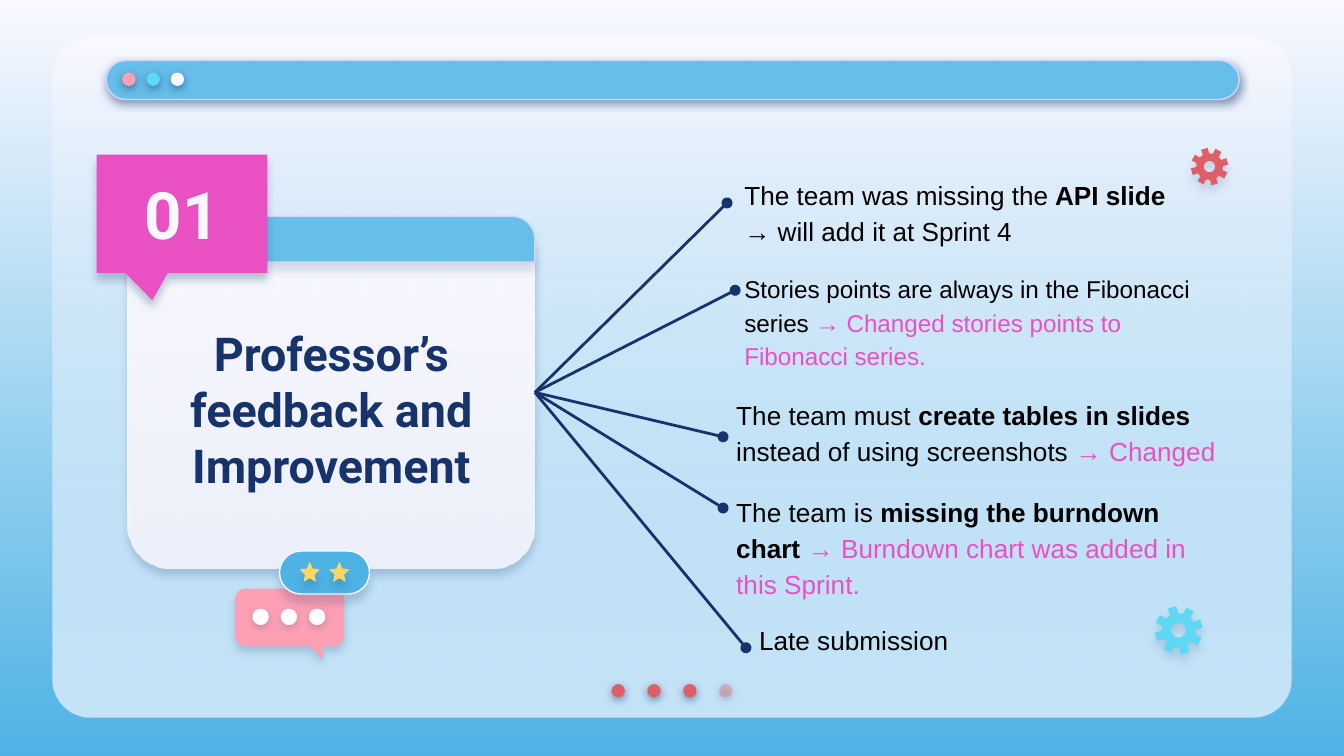
import math
from dataclasses import dataclass

from lxml import etree
from pptx import Presentation
from pptx import util as u
from pptx.dml.color import RGBColor
from pptx.enum import shapes, text
from pptx.oxml import ns

Inches, Pt = u.Inches, u.Pt
Kind = shapes.MSO_SHAPE


@dataclass(frozen=True)
class Theme:
    navy: str = "17336B"
    sky: str = "66BEE9"
    deep_sky: str = "4EB3E4"
    pale: str = "F9F8FF"
    lilac: str = "D2D6FF"
    pink: str = "FDA0B4"
    magenta: str = "E951C2"
    red: str = "DF5F69"
    faded_red: str = "E27B83"
    cyan: str = "60D8F4"
    yellow: str = "FFD65F"
    white: str = "FFFFFF"
    black: str = "000000"
    heading_font: str = "Roboto"
    body_font: str = "Arial"
    number_size: int = 35
    title_size: int = 25
    body_size: int = 14
    small_size: int = 13


THEME = Theme()

# Shadows: opacity %, blur pt, distance pt
CRISP = (50, 4.5, 1.5)
FAINT = (15, 4.5, 3.8)
SOFT = (22, 4.5, 3.8)
BADGE = (19, 4.5, 4.5)


def rgb(color):
    return RGBColor.from_string(color)


def add_alpha(color_element, percent):
    etree.SubElement(color_element, ns.qn("a:alpha"), val=str(percent * 1000))


def fill_gradient(fill, top, bottom):
    """Fill downwards between two (colour, opacity) pairs."""
    fill.gradient()
    fill.gradient_angle = 270
    for stop, (color, alpha) in zip(fill.gradient_stops, (top, bottom)):
        stop.color.rgb = rgb(color)
        if alpha < 100:
            add_alpha(stop._gs.find(ns.qn("a:srgbClr")), alpha)


def style(shape, fill, line=None, shadow=None, alpha=100):
    if isinstance(fill, tuple):
        fill_gradient(shape.fill, *fill)
    else:
        shape.fill.solid()
        shape.fill.fore_color.rgb = rgb(fill)
        if alpha < 100:
            add_alpha(shape._element.spPr.find(ns.qn("a:solidFill"))[0], alpha)
    if line:
        shape.line.color.rgb = rgb(line)
        shape.line.width = Pt(0.75)
    else:
        shape.line.fill.background()
    shape.shadow.inherit = False
    if shadow:
        opacity, blur, distance = shadow
        effects = shape._element.spPr.find(ns.qn("a:effectLst"))
        outer = etree.SubElement(
            effects, ns.qn("a:outerShdw"), blurRad=str(Pt(blur)),
            dist=str(Pt(distance)), dir="5400000", algn="bl", rotWithShape="0")
        add_alpha(etree.SubElement(outer, ns.qn("a:srgbClr"), val=THEME.navy), opacity)


def add_preset(slide, kind, box, fill, adjustments=(), **look):
    shape = slide.shapes.add_shape(kind, *map(Inches, box))
    for index, value in enumerate(adjustments):
        shape.adjustments[index] = value
    style(shape, fill, **look)
    return shape


def add_dots(slide, left, top, pitch, colors):
    for index, color in enumerate(colors):
        add_preset(slide, Kind.OVAL, (left + index * pitch, top, 0.1, 0.1), color,
                   shadow=CRISP, alpha=44 if color == THEME.faded_red else 100)


def arc(x, y, radius, start, end, steps):
    angles = (math.radians(start + (end - start) * i / steps) for i in range(steps + 1))
    return [(x + radius * math.cos(a), y + radius * math.sin(a)) for a in angles]


def add_outline(slide, contours, fill, shadow):
    contours = [[(Inches(x), Inches(y)) for x, y in contour] for contour in contours]
    builder = slide.shapes.build_freeform(*contours[0][0], scale=1.0)
    for index, contour in enumerate(contours):
        if index:
            builder.move_to(*contour[0])
        builder.add_line_segments(contour[1:], close=True)
    style(builder.convert_to_shape(), fill, shadow=shadow)


def add_gear(slide, x, y, radius, color):
    root, hole = 0.71 * radius, 0.3 * radius
    rim = []
    for tooth in range(8):
        middle = -106 + 45 * tooth
        for offset, reach in ((-14, root), (-10.5, radius), (10.5, radius), (14, root)):
            rim += arc(x, y, reach, middle + offset, middle + offset, 1)[:1]
    add_outline(slide, [rim, arc(x, y, hole, 360, 0, 32)], color, FAINT)


def add_chat_bubble(slide):
    left, top, right, bottom, r = 1.75, 4.38, 2.56, 4.81, 0.08
    body = (arc(left + r, top + r, r, 180, 270, 8)
            + arc(right - r, top + r, r, 270, 360, 8)
            + arc(right - r, bottom - r, r, 0, 90, 8)
            + [(2.4, bottom), (2.4, 4.91), (2.31, bottom)]
            + arc(left + r, bottom - r, r, 90, 180, 8))
    add_outline(slide, [body], THEME.pink, (18, 4.5, 3))
    typing_dots = [arc(1.94 + 0.21 * i, 4.59, 0.06, 0, 360, 32) for i in range(3)]
    add_outline(slide, typing_dots, THEME.white, (18, 4.5, 1.5))


def write(frame, paragraphs, size=THEME.body_size, font=THEME.body_font,
          color=THEME.black, bold=False, align=text.PP_ALIGN.LEFT,
          anchor=text.MSO_ANCHOR.TOP, spacing=1.15):
    """Each paragraph is a list of runs: text, or (text, format overrides)."""
    frame.word_wrap = True
    frame.vertical_anchor = anchor
    frame.margin_left = frame.margin_right = Inches(0.1)
    frame.margin_top = frame.margin_bottom = Inches(0.1)
    for index, runs in enumerate(paragraphs):
        paragraph = frame.add_paragraph() if index else frame.paragraphs[0]
        paragraph.alignment = align
        paragraph.line_spacing = spacing
        for part in runs:
            words, own = part if isinstance(part, tuple) else (part, {})
            run = paragraph.add_run()
            run.text = words
            run.font.name, run.font.size = font, Pt(size)
            run.font.bold = own.get("bold", bold)
            run.font.color.rgb = rgb(own.get("color", color))


def add_text(slide, box, paragraphs, **look):
    write(slide.shapes.add_textbox(*map(Inches, box)).text_frame, paragraphs, **look)


def add_branch(slide, card, end):
    branch = slide.shapes.add_connector(
        shapes.MSO_CONNECTOR.STRAIGHT, Inches(3.98), Inches(2.92), *map(Inches, end))
    branch.begin_connect(card, 3)
    branch.line.color.rgb = rgb(THEME.navy)
    branch.line.width = Pt(1.5)
    etree.SubElement(branch.line._get_or_add_ln(), ns.qn("a:tailEnd"), type="oval")
    etree.SubElement(branch._element.spPr, ns.qn("a:effectLst"))


def main():
    t = THEME
    deck = Presentation()
    deck.slide_width, deck.slide_height = Inches(10), Inches(10 * 9 / 16)
    slide = deck.slides.add_slide(deck.slide_layouts[6])

    # Background and window
    fill_gradient(slide.background.fill, (t.pale, 100), (t.deep_sky, 100))
    for layer in (t.pale, ((t.pale, 100), (t.sky, 34))):
        add_preset(slide, Kind.ROUNDED_RECTANGLE, (0.39, 0.28, 9.22, 5.06), layer, [0.056])
    add_dots(slide, 4.55, 5.09, 0.8 / 3, [t.red] * 3 + [t.faded_red])
    add_preset(slide, Kind.ROUNDED_RECTANGLE, (0.79, 0.45, 8.43, 0.29), t.sky, [0.5],
               line=t.lilac, shadow=CRISP)
    add_dots(slide, 0.91, 0.54, 0.18, [t.pink, t.cyan, t.pale])

    # Title card
    card = add_preset(slide, Kind.ROUNDED_RECTANGLE, (0.95, 1.61, 3.03, 2.62),
                      ((t.pale, 100), (t.pale, 86)), [0.124], shadow=SOFT)
    add_preset(slide, Kind.ROUND_2_SAME_RECTANGLE, (0.95, 1.61, 3.03, 0.34), t.sky,
               [0.5, 0], line=t.lilac, shadow=FAINT)
    centred = dict(font=t.heading_font, bold=True, spacing=1.0,
                   align=text.PP_ALIGN.CENTER, anchor=text.MSO_ANCHOR.MIDDLE)
    add_text(slide, (1.03, 2.37, 2.87, 1.34), [["Professor’s feedback and Improvement"]],
             size=t.title_size, color=t.navy, **centred)
    number = add_preset(slide, Kind.ROUNDED_RECTANGULAR_CALLOUT, (0.72, 1.15, 1.27, 0.88),
                        t.magenta, [-0.174, 0.731, 0], shadow=(25, 4.5, 3.8))
    write(number.text_frame, [["01"]], size=t.number_size, color=t.pale, **centred)

    # Feedback points: branch end, text box, size, paragraphs
    strong, answer = {"bold": True}, {"color": t.magenta}
    points = [
        ((5.41, 1.51), (5.44, 1.2, 3.6, 0.53), t.body_size,
         [["The team was missing the", (" API slide", strong)],
          ["→ will add it at Sprint 4"]]),
        ((5.47, 2.16), (5.44, 1.91, 3.6, 0.82), t.small_size,
         [["Stories points are always in the Fibonacci series ",
           ("→ Changed stories points to Fibonacci series.", answer)]]),
        ((5.38, 3.25), (5.38, 2.84, 3.83, 0.82), t.body_size,
         [["The team must ", ("create tables in slides", strong),
           " instead of using screenshots ", ("→ Changed", answer)]]),
        ((5.38, 3.78), (5.38, 3.56, 3.64, 0.44), t.body_size,
         [["The team is ", ("missing the burndown chart ", strong),
           ("→ Burndown chart was added in this Sprint.", answer)]]),
        ((5.55, 4.82), (5.55, 4.51, 2.87, 0.62), t.body_size, [["Late submission"]]),
    ]
    for end, box, size, paragraphs in points:
        add_branch(slide, card, end)
        add_text(slide, box, paragraphs, size=size)

    # Chat bubble, star badge and gears
    add_chat_bubble(slide)
    add_preset(slide, Kind.ROUNDED_RECTANGLE, (2.08, 4.1, 0.67, 0.32), t.deep_sky, [0.5],
               line=t.pale, shadow=BADGE)
    for left in (2.23, 2.45):
        add_preset(slide, Kind.STAR_5_POINT, (left, 4.18, 0.15, 0.15), t.yellow, [0.24],
                   shadow=BADGE)
    add_gear(slide, 9, 1.24, 0.14, t.red)
    add_gear(slide, 8.77, 4.69, 0.18, t.cyan)

    deck.save("out.pptx")


if __name__ == "__main__":
    main()
